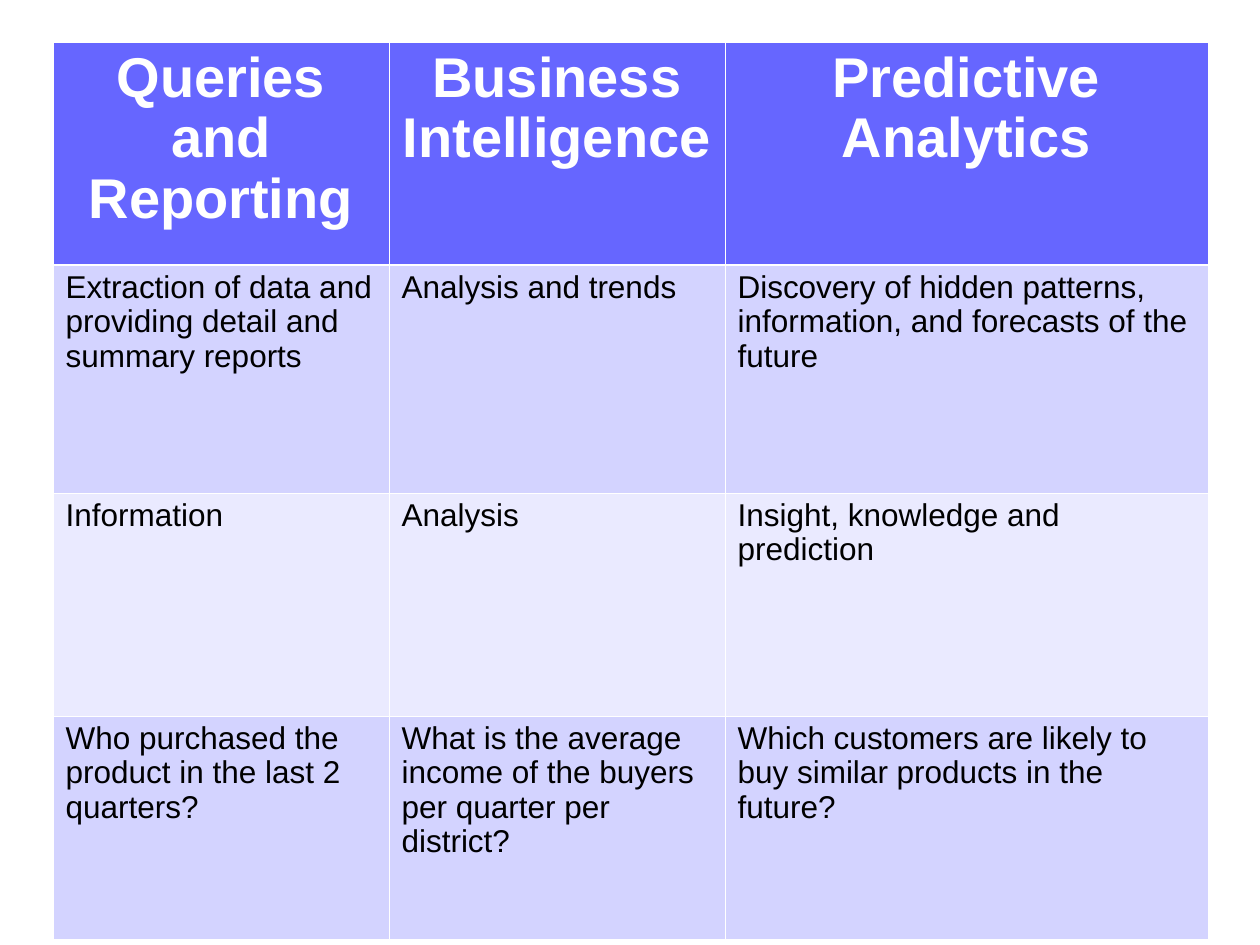
from dataclasses import dataclass

from lxml import etree
from pptx import Presentation
from pptx import util as u
from pptx.dml.color import RGBColor
from pptx.enum import text
from pptx.oxml import ns

PX = u.Inches(1) // 126


@dataclass(frozen=True)
class Theme:
    font: str = "Arial"
    header_size: int = 32
    body_size: int = 18
    line_spacing: float = 0.97
    header_fill: str = "6666FF"
    band_fills: tuple = ("D3D3FF", "EAEAFF")
    header_text: str = "FFFFFF"
    body_text: str = "000000"
    border: str = "FFFFFF"
    thin: float = 0.45
    thick: float = 1.47


THEME = Theme()
LEFT, TOP = 53, 42
COLUMN_WIDTHS = (336, 336, 483)
ROW_HEIGHTS = (223, 228, 223, 223)
ROWS = (
    ("Queries and Reporting", "Business Intelligence", "Predictive Analytics"),
    (
        "Extraction of data and providing detail and summary reports",
        "Analysis and trends",
        "Discovery of hidden patterns, information, and forecasts of the future",
    ),
    ("Information", "Analysis", "Insight, knowledge and prediction"),
    (
        "Who purchased the product in the last 2 quarters?",
        "What is the average income of the buyers per quarter per district?",
        "Which customers are likely to buy similar products in the future?",
    ),
)


def set_borders(cell, row):
    """Draw thin borders, with a thick rule between header and body."""
    widths = {
        "lnL": THEME.thin,
        "lnR": THEME.thin,
        "lnT": THEME.thick if row == 1 else THEME.thin,
        "lnB": THEME.thick if row == 0 else THEME.thin,
    }
    properties = cell._tc.get_or_add_tcPr()
    for side, width in widths.items():
        line = etree.SubElement(properties, ns.qn(f"a:{side}"), w=str(u.Pt(width)))
        fill = etree.SubElement(line, ns.qn("a:solidFill"))
        etree.SubElement(fill, ns.qn("a:srgbClr"), val=THEME.border)


def fill_cell(cell, row, wording):
    is_header = row == 0
    set_borders(cell, row)
    cell.fill.solid()
    color = THEME.header_fill if is_header else THEME.band_fills[(row - 1) % 2]
    cell.fill.fore_color.rgb = RGBColor.from_string(color)

    cell.text = wording
    paragraph = cell.text_frame.paragraphs[0]
    paragraph.alignment = text.PP_ALIGN.CENTER if is_header else text.PP_ALIGN.LEFT
    paragraph.line_spacing = THEME.line_spacing
    font = paragraph.font
    font.name = THEME.font
    font.size = u.Pt(THEME.header_size if is_header else THEME.body_size)
    font.bold = is_header
    font.color.rgb = RGBColor.from_string(
        THEME.header_text if is_header else THEME.body_text
    )


def add_comparison_table(slide):
    table = slide.shapes.add_table(
        len(ROWS), len(COLUMN_WIDTHS), LEFT * PX, TOP * PX,
        sum(COLUMN_WIDTHS) * PX, sum(ROW_HEIGHTS) * PX,
    ).table
    for column, width in zip(table.columns, COLUMN_WIDTHS):
        column.width = width * PX
    for row, (height, wordings) in enumerate(zip(ROW_HEIGHTS, ROWS)):
        table.rows[row].height = height * PX
        for column, wording in enumerate(wordings):
            fill_cell(table.cell(row, column), row, wording)


def main():
    presentation = Presentation()
    presentation.slide_width = 1260 * PX
    presentation.slide_height = 945 * PX
    slide = presentation.slides.add_slide(presentation.slide_layouts[6])
    add_comparison_table(slide)
    presentation.save("out.pptx")


if __name__ == "__main__":
    main()
